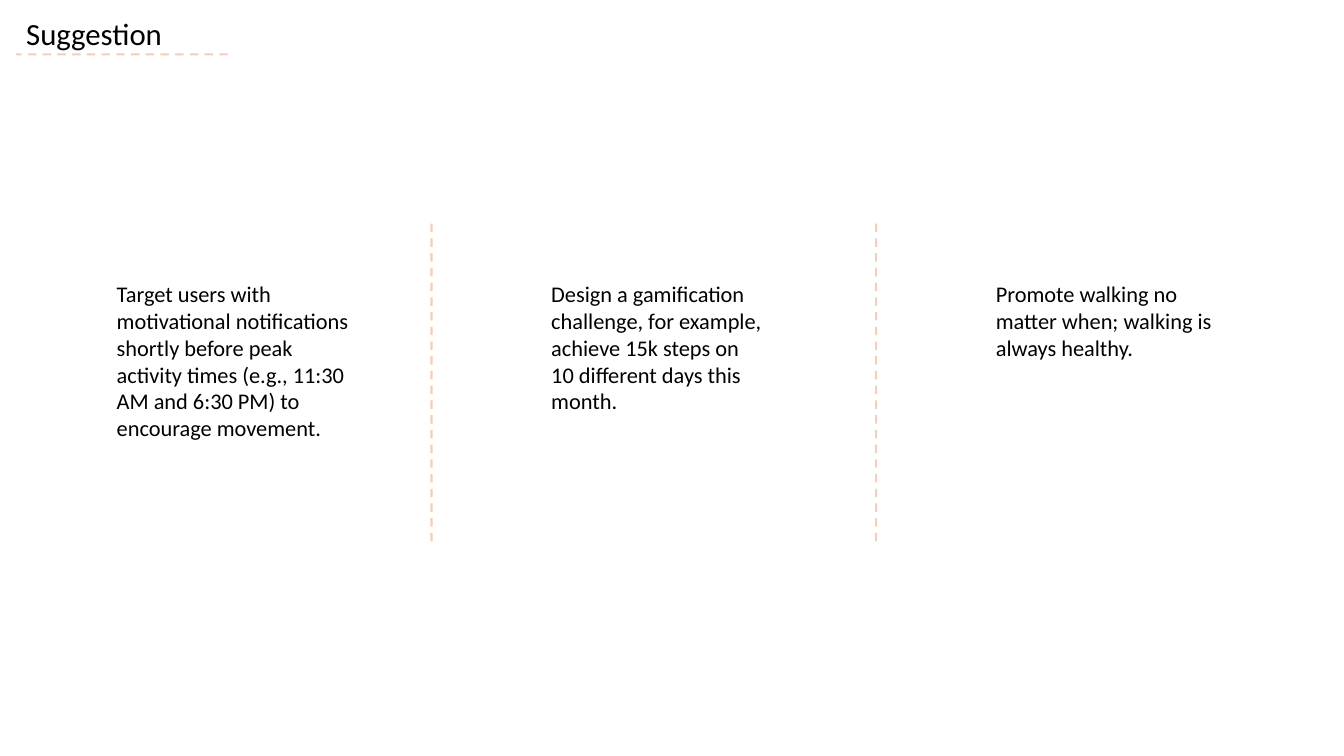
from dataclasses import dataclass

from lxml.etree import SubElement
from pptx import Presentation
from pptx.dml.color import RGBColor
from pptx.enum.dml import MSO_LINE_DASH_STYLE as DashStyle
from pptx.enum.shapes import MSO_CONNECTOR_TYPE as ConnectorType
from pptx.enum.text import MSO_AUTO_SIZE as AutoSize
from pptx.enum.text import MSO_VERTICAL_ANCHOR as Anchor
from pptx.enum.text import PP_PARAGRAPH_ALIGNMENT as Alignment
from pptx.oxml.ns import qn
from pptx.slide import Slide
from pptx.text.text import TextFrame
from pptx.util import Emu, Inches, Pt

BLACK = RGBColor(0x00, 0x00, 0x00)
ORANGE = RGBColor(0xE9, 0x71, 0x32)
LINE_OPACITY = 34
FONT = "Calibri"

SLIDE_WIDTH = Inches(13.33)
SLIDE_HEIGHT = Inches(7.5)

MARGIN = 1.2
FIRST_DIVIDER = 32.11
COLUMN_PITCH = 33.08
DIVIDER_GAP = 8.17
TEXT_TOP = 36.4


@dataclass(frozen=True)
class Suggestion:
    text: str
    left: float
    width: float
    height: float


@dataclass(frozen=True)
class DashedLine:
    start_x: float
    start_y: float
    end_x: float
    end_y: float


DIVIDERS = [FIRST_DIVIDER + COLUMN_PITCH * index for index in range(2)]

SUGGESTIONS = [
    Suggestion(
        "Target users with motivational notifications shortly before peak "
        "activity times (e.g., 11:30 AM and 6:30 PM) to encourage movement.",
        7.95, 18.75, 26.53,
    ),
    Suggestion(
        "Design a gamification challenge, for example, achieve 15k steps on "
        "10 different days this month.",
        DIVIDERS[0] + DIVIDER_GAP, 17.33, 19.33,
    ),
    Suggestion(
        "Promote walking no matter when; walking is always healthy.",
        DIVIDERS[1] + DIVIDER_GAP, 18.75, 12.13,
    ),
]

LINES = [DashedLine(16.95, 7.2, MARGIN, 7.2)] + [
    DashedLine(divider, 29.6, divider, 72.13) for divider in DIVIDERS
]


def across(percent: float) -> Emu:
    return Emu(round(SLIDE_WIDTH * percent / 100))


def down(percent: float) -> Emu:
    return Emu(round(SLIDE_HEIGHT * percent / 100))


def write_text(text_frame: TextFrame, text: str, size: float) -> None:
    text_frame.text = text
    text_frame.word_wrap = True
    text_frame.auto_size = AutoSize.SHAPE_TO_FIT_TEXT
    text_frame.vertical_anchor = Anchor.TOP
    paragraph = text_frame.paragraphs[0]
    paragraph.alignment = Alignment.LEFT
    font = paragraph.runs[0].font
    font.name = FONT
    font.size = Pt(size)
    font.color.rgb = BLACK


def add_title(slide: Slide, text: str) -> None:
    title = slide.shapes.title
    title.left, title.top = across(MARGIN), down(1.33)
    title.width, title.height = across(20.86), down(9.87)
    write_text(title.text_frame, text, 22)


def add_suggestion(slide: Slide, suggestion: Suggestion) -> None:
    shape = slide.shapes.add_textbox(
        across(suggestion.left), down(TEXT_TOP),
        across(suggestion.width), down(suggestion.height),
    )
    write_text(shape.text_frame, suggestion.text, 16)


def add_dashed_line(slide: Slide, line: DashedLine) -> None:
    connector = slide.shapes.add_connector(
        ConnectorType.STRAIGHT,
        across(line.start_x), down(line.start_y),
        across(line.end_x), down(line.end_y),
    )
    connector.line.color.rgb = ORANGE
    connector.line.width = Pt(1.5)
    connector.line.dash_style = DashStyle.DASH
    properties = connector._element.spPr
    color = next(properties.iter(qn("a:srgbClr")))
    SubElement(color, qn("a:alpha"), val=str(LINE_OPACITY * 1000))
    SubElement(properties, qn("a:effectLst"))


def main() -> None:
    presentation = Presentation()
    presentation.slide_width = SLIDE_WIDTH
    presentation.slide_height = SLIDE_HEIGHT
    slide = presentation.slides.add_slide(presentation.slide_layouts[5])
    add_title(slide, "Suggestion")
    for line in LINES:
        add_dashed_line(slide, line)
    for suggestion in SUGGESTIONS:
        add_suggestion(slide, suggestion)
    presentation.save("out.pptx")


if __name__ == "__main__":
    main()
